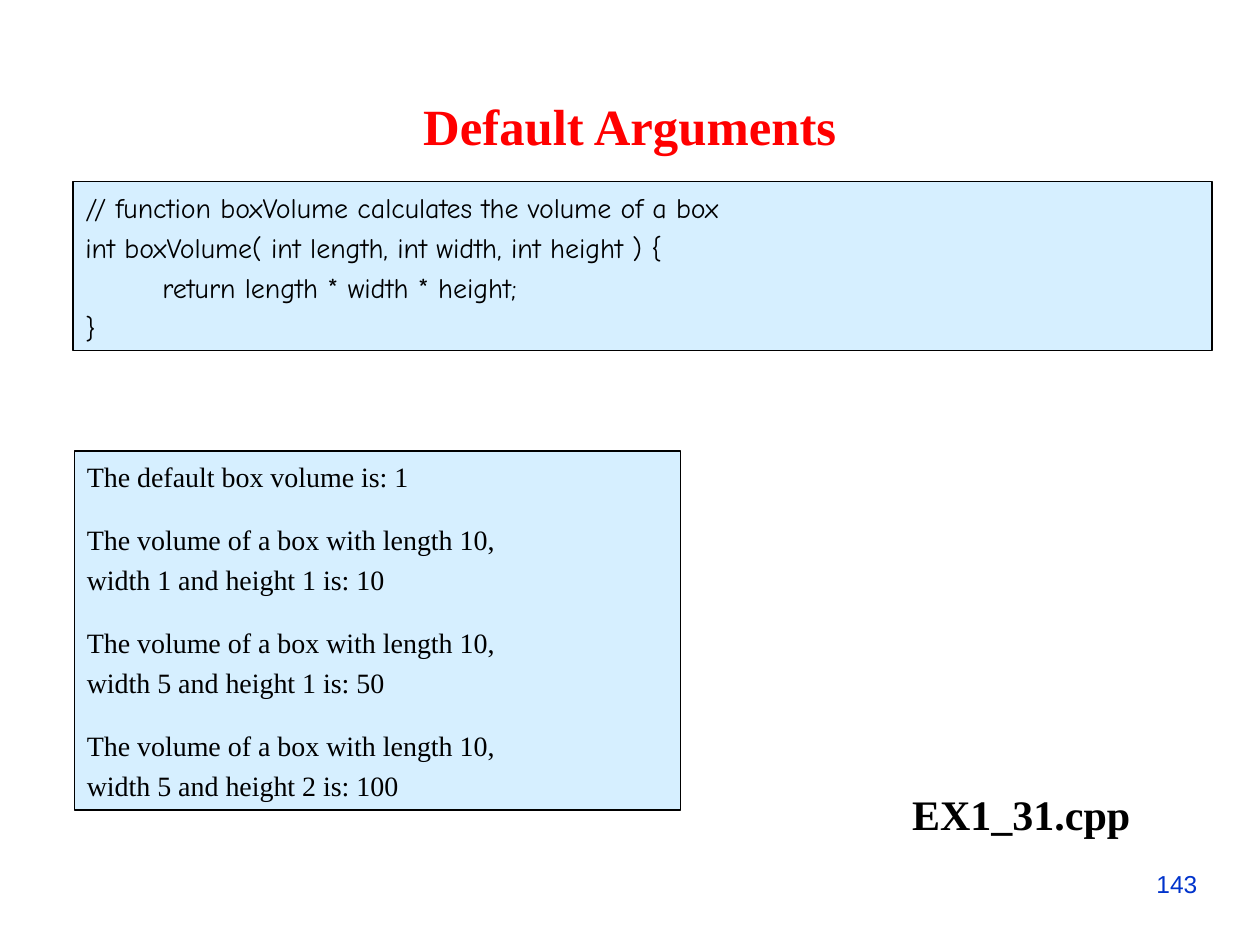
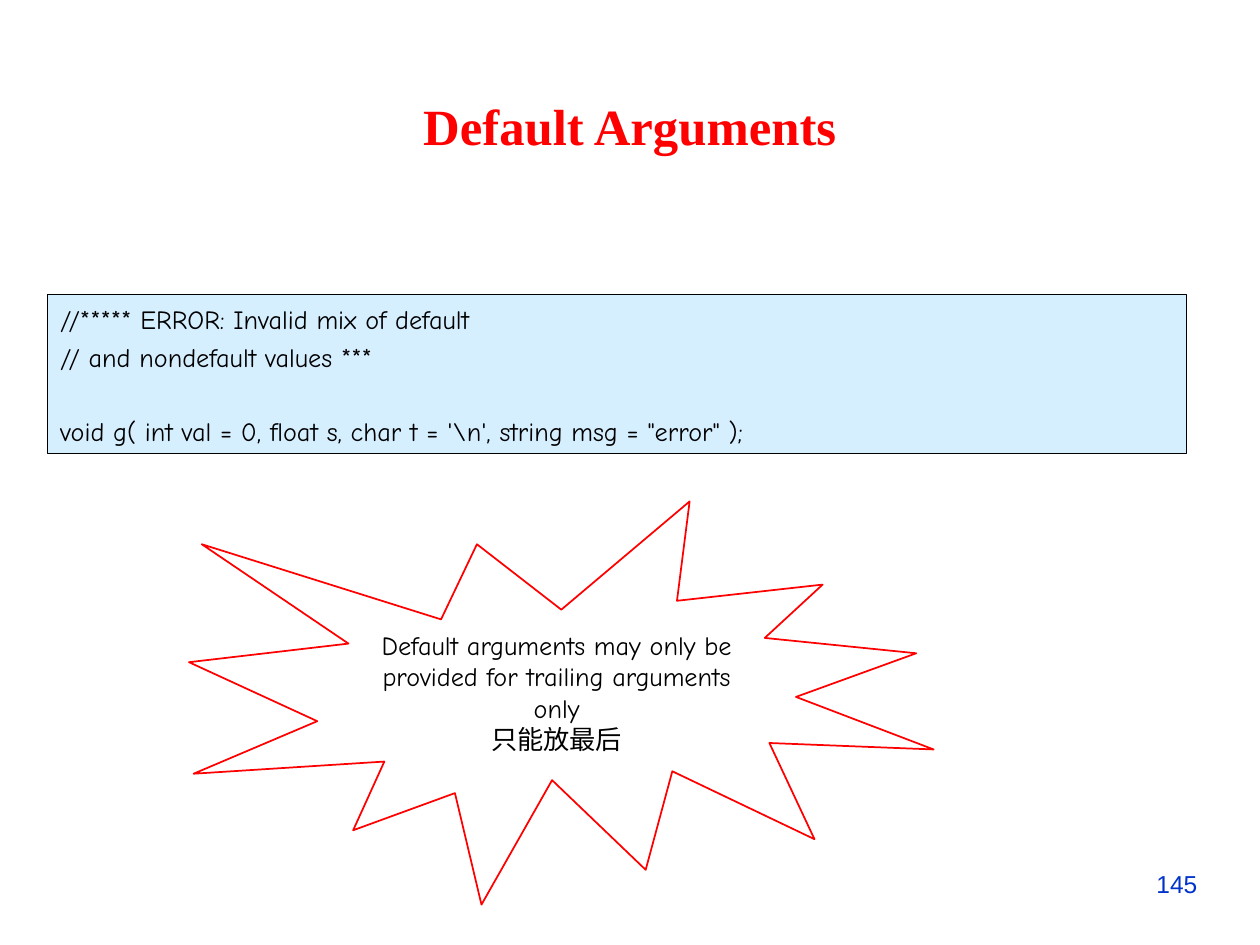
"""Builds two slides on default arguments: a code listing with its output, and an invalid declaration."""
from lxml import etree
from pptx import Presentation
from pptx.dml.color import RGBColor
from pptx.enum.shapes import MSO_SHAPE
from pptx.enum.text import MSO_ANCHOR, PP_ALIGN
from pptx.oxml.ns import qn
from pptx.util import Inches, Pt

RECTANGLE, BURST = MSO_SHAPE.RECTANGLE, MSO_SHAPE.EXPLOSION1
TOP, MIDDLE = MSO_ANCHOR.TOP, MSO_ANCHOR.MIDDLE
LEFT, CENTER = PP_ALIGN.LEFT, PP_ALIGN.CENTER

COLORS = {"title": "FF0000", "panel": "CCECFF", "ink": "000000",
          "number": "0033CC", "warning": "FF0000"}
SERIF, HAND, SANS = "Times New Roman", "Comic Neue", "Arial"
WIDTH, HEIGHT = 10, 7.5
TITLE_BOX = (0.33, 0.7, 9.34, 0.59)
NUMBER_BOX = (9.08, 6.83, 0.54, 0.34)
PANEL_OPACITY = 80
LINE_GAP = 0.23
TAB_STOP = 0.61

TITLE = "Default Arguments"
FUNCTION_CODE = [[
    "// function boxVolume calculates the volume of a box",
    "int boxVolume( int length, int width, int height ) {",
    "\treturn length * width * height;",
    "}",
]]
PROGRAM_OUTPUT = [
    ["The default box volume is: 1"],
    ["The volume of a box with length 10,", "width 1 and height 1 is: 10"],
    ["The volume of a box with length 10,", "width 5 and height 1 is: 50"],
    ["The volume of a box with length 10,", "width 5 and height 2 is: 100"],
]
INVALID_CODE = [
    ["//***** ERROR: Invalid mix of default", "// and nondefault values ***"],
    ["void g( int val = 0, float s, char t = '\\n', string msg = \"error\" );"],
]
WARNING = "Default arguments may only be provided for trailing arguments only\n只能放最后"

SLIDES = [
    {"number": "143",
     "panels": [
         {"box": (0.58, 1.44, 9.04, 1.34), "groups": FUNCTION_CODE, "size": 16, "font": HAND},
         {"box": (0.59, 3.58, 4.81, 2.85), "groups": PROGRAM_OUTPUT, "size": 16, "font": SERIF,
          "group_gap": 13},
     ],
     "file_name": ("EX1_31.cpp", (7.13, 6.19, 1.95, 0.5))},
    {"number": "145",
     "panels": [
         {"box": (0.38, 2.34, 9.04, 1.26), "groups": INVALID_CODE, "size": 15, "font": HAND,
          "group_gap": 21},
     ],
     "warning": (WARNING, (1.5, 3.98, 5.91, 3.2))},
]


def color(name):
    return RGBColor.from_string(COLORS[name])


def inches(box):
    return [Inches(length) for length in box]


def add_tab_stop(paragraph):
    tabs = etree.SubElement(paragraph._p.get_or_add_pPr(), qn("a:tabLst"))
    etree.SubElement(tabs, qn("a:tab"), pos=str(Inches(TAB_STOP)), algn="l")


def write_text(shape, groups, size, font, ink="ink", bold=False, align=LEFT, anchor=TOP,
               insets=(0.1, 0.07, 0.1, 0.05), wrap=True, group_gap=0):
    frame = shape.text_frame
    frame.word_wrap = wrap
    frame.vertical_anchor = anchor
    (frame.margin_left, frame.margin_top,
     frame.margin_right, frame.margin_bottom) = inches(insets)
    lines = [(text, index == 0) for group in groups for index, text in enumerate(group)]
    for position, (text, starts_group) in enumerate(lines):
        paragraph = frame.add_paragraph() if position else frame.paragraphs[0]
        if "\t" in text:
            add_tab_stop(paragraph)
        paragraph.alignment = align
        gap = LINE_GAP * size + (group_gap if starts_group else 0)
        paragraph.space_before = Pt(round(gap, 1) if position else 0)
        for part_index, part in enumerate(text.split("\n")):
            if part_index:
                paragraph.add_line_break()
            run = paragraph.add_run()
            run.text = part
            run.font.size = Pt(size)
            run.font.name = font
            run.font.bold = bold
            run.font.color.rgb = color(ink)


def add_outline(slide, kind, box, line, width):
    shape = slide.shapes.add_shape(kind, *inches(box))
    shape.shadow.inherit = False
    shape.fill.background()
    shape.line.color.rgb = color(line)
    shape.line.width = Pt(width)
    return shape


def add_panel(slide, box, **text_format):
    panel = add_outline(slide, RECTANGLE, box, "ink", 0.75)
    panel.fill.solid()
    panel.fill.fore_color.rgb = color("panel")
    tint = panel._element.spPr.find(qn("a:solidFill")).find(qn("a:srgbClr"))
    etree.SubElement(tint, qn("a:alpha"), val=str(PANEL_OPACITY * 1000))
    write_text(panel, **text_format)


def add_label(slide, text, box, **text_format):
    write_text(slide.shapes.add_textbox(*inches(box)), [[text]], **text_format)


def build_slide(presentation, layout, content):
    slide = presentation.slides.add_slide(layout)
    write_text(slide.shapes.title, [[TITLE]], size=29, font=SERIF, ink="title", bold=True,
               align=CENTER, anchor=MIDDLE, insets=(0.1, 0.05, 0.1, 0.05))
    for panel in content["panels"]:
        add_panel(slide, **panel)
    if "file_name" in content:
        add_label(slide, *content["file_name"], size=24, font=SERIF, bold=True,
                  align=CENTER, wrap=False)
    if "warning" in content:
        text, box = content["warning"]
        burst = add_outline(slide, BURST, box, "warning", 1)
        write_text(burst, [[text]], size=15, font=HAND, align=CENTER, anchor=MIDDLE,
                   insets=(0.13, 0.08, 0.13, 0.06))
    add_label(slide, content["number"], NUMBER_BOX, size=14, font=SANS, ink="number")


def main():
    presentation = Presentation()
    presentation.slide_width, presentation.slide_height = inches((WIDTH, HEIGHT))
    layout = presentation.slide_layouts.get_by_name("Title Only")
    title = layout.placeholders[0]
    title.left, title.top, title.width, title.height = inches(TITLE_BOX)
    for content in SLIDES:
        build_slide(presentation, layout, content)
    presentation.save("out.pptx")


if __name__ == "__main__":
    main()
